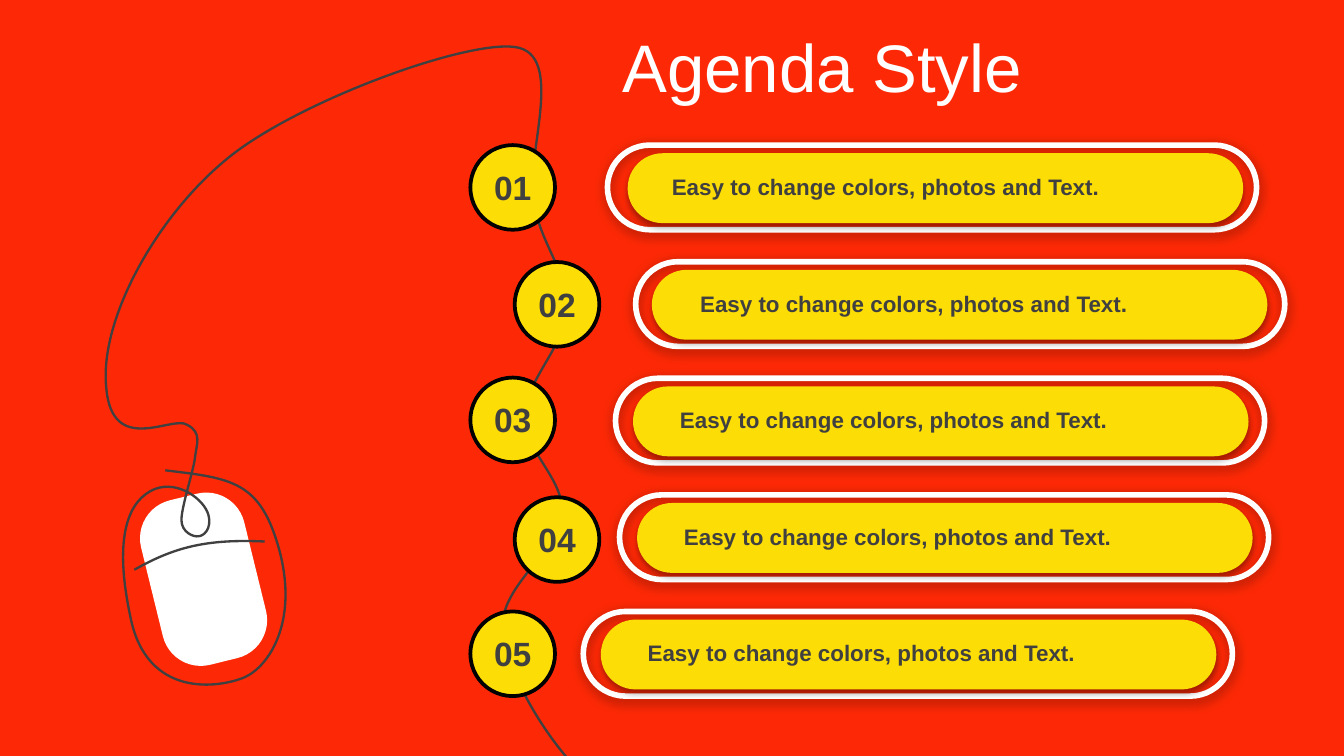
from lxml import etree
from pptx import Presentation
from pptx.dml.color import RGBColor
from pptx.enum.shapes import MSO_SHAPE
from pptx.enum.text import MSO_ANCHOR, PP_ALIGN
from pptx.oxml import parse_xml
from pptx.oxml.ns import nsdecls, qn
from pptx.util import Inches, Pt

OVAL, ROUNDED = MSO_SHAPE.OVAL, MSO_SHAPE.ROUNDED_RECTANGLE
CENTER, LEFT = PP_ALIGN.CENTER, PP_ALIGN.LEFT
MIDDLE, TOP = MSO_ANCHOR.MIDDLE, MSO_ANCHOR.TOP

RED, YELLOW, WHITE, BLACK, GRAY = "FD2906", "FDDD06", "FFFFFF", "000000", "404040"
FONT = "Arial"
ITEM_TEXT = "Easy to change colors, photos and Text."
FIRST_TOP, LAST_TOP = 1.08, 4.55

# Per row: circle left, circle top, outer pill left, inner pill left
ROWS = [
    (3.50, 1.08, 4.52, 4.67),
    (3.83, 1.95, 4.73, 4.85),
    (3.50, 2.81, 4.58, 4.71),
    (3.83, 3.70, 4.61, 4.74),
    (3.50, 4.55, 4.34, 4.47),
]
PITCH = (LAST_TOP - FIRST_TOP) / (len(ROWS) - 1)

# Start point, then three points (two controls and an end) per curve
BUTTON_LINE = [(1, 4.24), (1.3, 4.07), (1.54, 4.01), (1.97, 4.03)]
CABLE = [
    (1.23, 3.5),
    (1.73, 3.56), (1.94, 3.58), (2.08, 4.1),
    (2.22, 4.63), (2, 4.96), (1.82, 5.04),
    (1.63, 5.12), (1.09, 5.2), (0.97, 4.59),
    (0.84, 3.98), (0.96, 3.72), (1.15, 3.64),
    (1.33, 3.57), (1.52, 3.72), (1.55, 3.83),
    (1.58, 3.94), (1.51, 3.99), (1.48, 3.99),
    (1.44, 4), (1.35, 3.96), (1.35, 3.87),
    (1.35, 3.77), (1.44, 3.5), (1.45, 3.41),
    (1.46, 3.31), (1.51, 3.22), (1.39, 3.16),
    (1.28, 3.09), (0.83, 3.4), (0.79, 2.88),
    (0.74, 2.37), (1.17, 1.61), (1.68, 1.19),
    (2.18, 0.77), (3.45, 0.3), (3.83, 0.35),
    (4.22, 0.4), (3.9, 1.18), (3.97, 1.51),
    (4.03, 1.83), (4.23, 2.04), (4.22, 2.3),
    (4.21, 2.56), (3.91, 2.84), (3.9, 3.09),
    (3.89, 3.35), (4.21, 3.57), (4.18, 3.83),
    (4.16, 4.09), (3.74, 4.35), (3.74, 4.65),
    (3.75, 4.95), (3.99, 5.37), (4.22, 5.64),
]


def rgb(color):
    return RGBColor.from_string(color)


def box(x, y, w, h):
    return Inches(x), Inches(y), Inches(w), Inches(h)


def paint(s, fill=None, line=None, width=1):
    s.shadow.inherit = False
    if fill:
        s.fill.solid()
        s.fill.fore_color.rgb = rgb(fill)
    else:
        s.fill.background()
    if line:
        s.line.color.rgb = rgb(line)
        s.line.width = Pt(width)
    else:
        s.line.fill.background()


def add_shape(shapes, kind, at, fill=None, line=None, width=1, radius=None):
    s = shapes.add_shape(kind, *box(*at))
    if radius is not None:
        s.adjustments[0] = radius
    paint(s, fill, line, width)
    return s


def add_shadow(s, opacity, blur, distance):
    effects = s._element.spPr.find(qn("a:effectLst"))
    effects.append(parse_xml(
        f'<a:outerShdw {nsdecls("a")} blurRad="{Pt(blur)}" dist="{Pt(distance)}" '
        f'dir="5400000" algn="t" rotWithShape="0"><a:srgbClr val="{BLACK}">'
        f'<a:alpha val="{opacity * 1000}"/></a:srgbClr></a:outerShdw>'))


def add_curve(shapes, points):
    start, *rest = [(Inches(x), Inches(y)) for x, y in points]
    builder = shapes.build_freeform(*start)
    builder.add_line_segments(rest, close=False)
    s = builder.convert_to_shape()
    paint(s, line=GRAY, width=1.25)
    # Turn each three line segments into one Bezier curve
    path = next(s._element.iter(qn("a:path")))
    segments = path.findall(qn("a:lnTo"))
    for i in range(0, len(segments), 3):
        curve = etree.SubElement(path, qn("a:cubicBezTo"))
        for segment in segments[i:i + 3]:
            curve.append(segment[0])
            path.remove(segment)


def write(s, text, size, color, bold=False, align=CENTER, anchor=MIDDLE, wrap=True):
    tf = s.text_frame
    tf.text = text
    tf.word_wrap = wrap
    tf.vertical_anchor = anchor
    p = tf.paragraphs[0]
    p.alignment = align
    font = p.runs[0].font
    font.name, font.size, font.bold = FONT, Pt(size), bold
    font.color.rgb = rgb(color)


def add_mouse(shapes):
    body = add_shape(shapes, ROUNDED, (1.12, 3.68, 0.79, 1.26), WHITE, radius=0.368)
    body.rotation = 346.2
    add_curve(shapes, BUTTON_LINE)
    add_curve(shapes, CABLE)


def add_title(slide, text):
    s = slide.shapes.title
    s.left, s.top, s.width, s.height = box(4.53, 0.17, 5.47, 0.63)
    write(s, text, 36, WHITE, align=LEFT)


def add_number(shapes, number, x, y):
    add_shape(shapes, OVAL, (x, y, 0.63, 0.63), YELLOW, BLACK, 2)
    label = shapes.add_textbox(*box(x + 0.05, y + 0.11, 0.53, 0.4))
    write(label, f"{number:02}", 18, GRAY, bold=True)


def add_pill(shapes, outer_x, inner_x, y):
    group = shapes.add_group_shape().shapes
    outer = add_shape(group, ROUNDED, (outer_x, y, 4.83, 0.63),
                      line=WHITE, width=3, radius=0.5)
    add_shadow(outer, 38, 6, 1.6)
    inner = add_shape(group, ROUNDED, (inner_x, y + 0.06, 4.58, 0.52), YELLOW, radius=0.5)
    add_shadow(inner, 35, 3.1, 1.8)
    label = group.add_textbox(*box(outer_x + 0.36, y + 0.16, 3.42, 0.3))
    write(label, ITEM_TEXT, 12, GRAY, bold=True, anchor=TOP, wrap=False)


def main():
    prs = Presentation()
    prs.slide_width = Inches(10)
    prs.slide_height = prs.slide_width * 9 // 16
    slide = prs.slides.add_slide(prs.slide_layouts[5])
    slide.background.fill.solid()
    slide.background.fill.fore_color.rgb = rgb(RED)

    # Mouse with its cable, behind the agenda
    add_mouse(slide.shapes)
    add_title(slide, "Agenda Style")

    # Agenda rows
    for i, (circle_x, circle_y, outer_x, inner_x) in enumerate(ROWS):
        add_number(slide.shapes, i + 1, circle_x, circle_y)
        add_pill(slide.shapes, outer_x, inner_x, FIRST_TOP + i * PITCH)

    prs.save("out.pptx")


if __name__ == "__main__":
    main()
